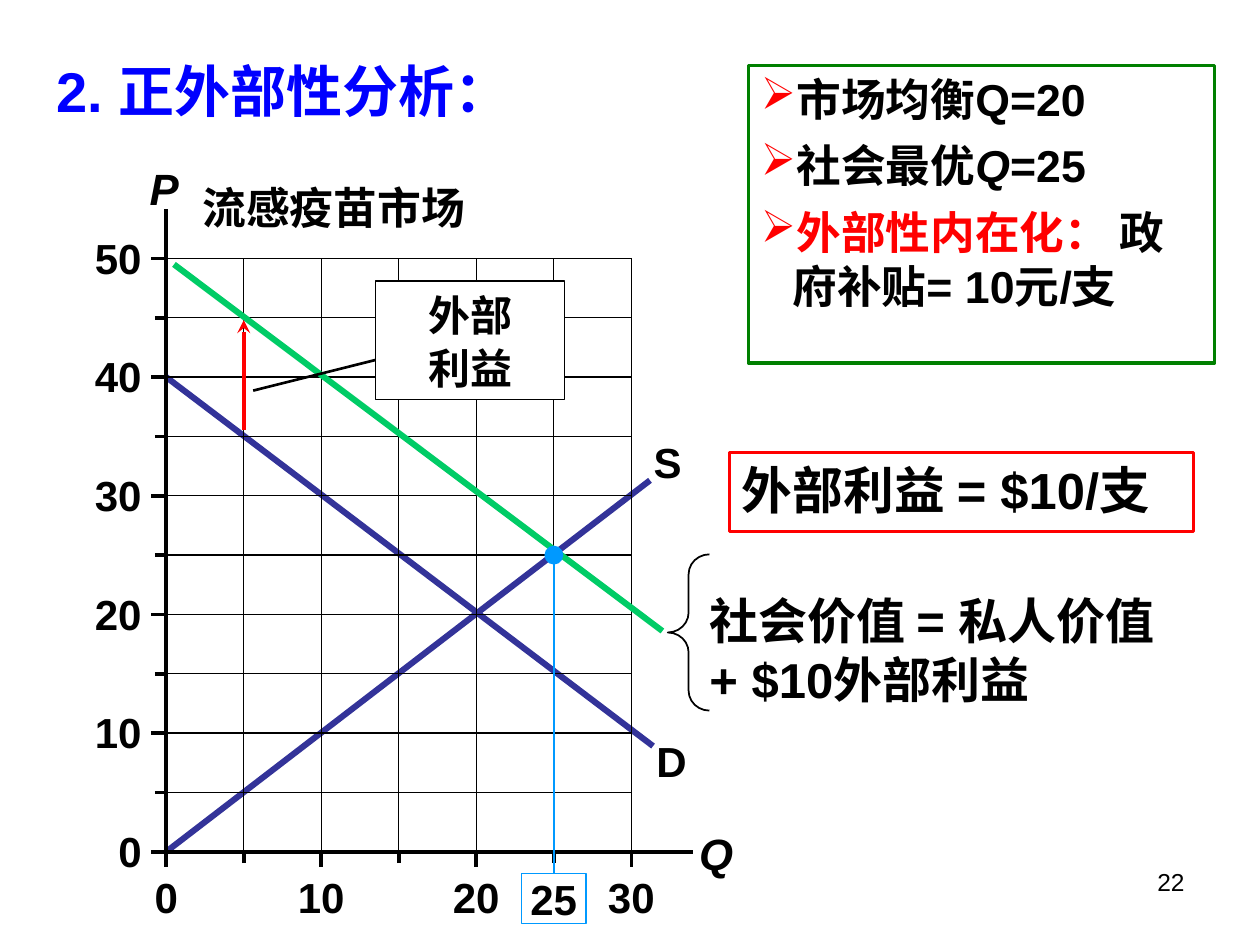
"""Build the positive externality slide with its supply and demand diagram."""
from lxml import etree
from pptx import Presentation
from pptx import util as u
from pptx.dml.color import RGBColor
from pptx.enum import shapes, text
from pptx.oxml.ns import qn

COLORS = {
    "black": "000000", "white": "FFFFFF", "blue": "0000FF", "red": "FF0000",
    "green": "008000", "navy": "333399", "emerald": "00CC66", "sky": "0099FF",
}
ALIGN = text.PP_ALIGN
SHAPE = shapes.MSO_SHAPE


def rgb(name):
    return RGBColor.from_string(COLORS[name])


def qx(q):
    return 95 + 8.86 * q


def py(p):
    return 486.7 - 6.78 * p


def add_bullet(p, color):
    pPr = p._p.get_or_add_pPr()
    pPr.set("marL", str(u.Pt(18)))
    pPr.set("indent", str(-u.Pt(18)))
    buClr = etree.SubElement(pPr, qn("a:buClr"))
    etree.SubElement(buClr, qn("a:srgbClr"), val=COLORS[color])
    etree.SubElement(pPr, qn("a:buChar"), char="➢")


def write(tf, paragraphs, size=24, color="black", bold=True, italic=False, align=ALIGN.LEFT,
          before=0, spacing=None, bullet=None, inset=(7.2, 3.6), wrap=True,
          anchor=text.MSO_ANCHOR.TOP):
    """Fill a frame; each paragraph is a string or a list of (text, overrides) runs."""
    tf.word_wrap = wrap
    tf.vertical_anchor = anchor
    tf.margin_left = tf.margin_right = u.Pt(inset[0])
    tf.margin_top = tf.margin_bottom = u.Pt(inset[1])
    if isinstance(paragraphs, str):
        paragraphs = [paragraphs]
    for i, runs in enumerate(paragraphs):
        p = tf.add_paragraph() if i else tf.paragraphs[0]
        if bullet:
            add_bullet(p, bullet)
        p.alignment = align
        if i and before:
            p.space_before = u.Pt(before)
        if spacing:
            p.line_spacing = spacing
        for content, style in [(runs, {})] if isinstance(runs, str) else runs:
            if content == "\n":
                p.add_line_break()
                continue
            r = p.add_run()
            r.text = content
            r.font.name = "Arial"
            r.font.size = u.Pt(size)
            r.font.bold = bold
            r.font.italic = style.get("italic", italic)
            r.font.color.rgb = rgb(style.get("color", color))


class Canvas:
    """Draw styled elements on the current slide, in points."""

    def __init__(self, prs):
        self.s = prs.slides.add_slide(prs.slide_layouts[6])

    def label(self, x, y, w, h, content, **fmt):
        sp = self.s.shapes.add_textbox(u.Pt(x), u.Pt(y), u.Pt(w), u.Pt(h))
        write(sp.text_frame, content, **fmt)
        return sp

    def shape(self, kind, x, y, w, h, fill=None, line=None, width=0.75):
        sp = self.s.shapes.add_shape(kind, u.Pt(x), u.Pt(y), u.Pt(w), u.Pt(h))
        sp.shadow.inherit = False
        if fill:
            sp.fill.solid()
            sp.fill.fore_color.rgb = rgb(fill)
        else:
            sp.fill.background()
        if line:
            sp.line.color.rgb = rgb(line)
            sp.line.width = u.Pt(width)
        else:
            sp.line.fill.background()
        return sp

    def panel(self, x, y, w, h, content, line, width, **fmt):
        sp = self.shape(SHAPE.RECTANGLE, x, y, w, h, "white", line, width)
        write(sp.text_frame, content, **fmt)
        return sp

    def line(self, x1, y1, x2, y2, color="black", width=0.75, arrow=False):
        c = self.s.shapes.add_connector(
            shapes.MSO_CONNECTOR.STRAIGHT, u.Pt(x1), u.Pt(y1), u.Pt(x2), u.Pt(y2))
        c.line.color.rgb = rgb(color)
        c.line.width = u.Pt(width)
        if arrow:
            etree.SubElement(c.line._get_or_add_ln(), qn("a:tailEnd"), type="stealth")
        etree.SubElement(c._element.spPr, qn("a:effectLst"))
        return c

    def curve(self, start, end, color):
        self.line(qx(start[0]), py(start[1]), qx(end[0]), py(end[1]), color, 3.5)

    def grid(self):
        for p in range(5, 51, 5):
            self.line(qx(0), py(p), qx(30), py(p))
        for q in range(5, 31, 5):
            self.line(qx(q), py(50), qx(q), py(0))

    def axes(self):
        self.line(qx(0), 119.5, qx(0), py(0), width=2.13)
        self.line(qx(0), py(0), 396, py(0), width=2.13)
        for p in range(0, 51, 5):
            self.line(qx(0) - (6.5 if p % 5 else 6.5 + 2.1 * (p % 10 == 0)), py(p),
                      qx(0), py(p), width=2.13)
        for q in range(0, 31, 5):
            if q:
                self.line(qx(q), py(0) + 6.5 + 2.1 * (q % 10 == 0), qx(q), py(0), width=2.13)
            else:
                self.line(qx(0), py(0) + 8.6, qx(0), py(0), width=2.13)
        for p in range(0, 51, 10):
            w = 13.4 * len(str(p))
            self.label(81 - w, py(p) - 15, w, 28.8, str(p), inset=(0, 0), wrap=False)
        for q in range(0, 31, 10):
            w = 13.4 * len(str(q))
            self.label(qx(q) - w / 2, 498, w, 28.8, str(q), inset=(0, 0), wrap=False)
        self.label(78.5, 88.6, 31, 37.4, "P", size=25, italic=True, wrap=False)
        self.label(392.4, 468.7, 34, 37.4, "Q", size=25, italic=True, wrap=False)


def main():
    prs = Presentation()
    prs.slide_width, prs.slide_height = u.Pt(720), u.Pt(540)
    c = Canvas(prs)

    c.label(516, 491.8, 168, 37.4, "22", size=14, bold=False, align=ALIGN.RIGHT)
    c.label(25.2, 26, 342, 51, "2. 正外部性分析：", size=32, color="blue",
            anchor=text.MSO_ANCHOR.MIDDLE)
    c.panel(427.7, 37.4, 266.4, 170, [
        "市场均衡Q=20",
        [("社会最优", {}), ("Q", {"italic": True}), ("=25", {})],
        [("外部性内在化：", {"color": "red"}), (" 政府补贴= 10元/支", {})],
    ], "green", 2, size=25.5, before=7.5, bullet="red")

    c.label(108.7, 100, 164, 37.4, "流感疫苗市场", size=25, wrap=False)
    c.curve((0, 40), (31.4, 8.9), "navy")
    c.curve((0, 0), (31.2, 31.3), "navy")
    c.label(368, 416.9, 32.4, 36, "D")
    c.label(366.5, 246.2, 31, 36, "S")
    c.grid()
    c.axes()
    c.curve((0.5, 49.5), (32, 18.6), "emerald")

    brace = c.shape(SHAPE.LEFT_BRACE, 381.6, 316.8, 23.8, 89.3, line="black", width=1)
    brace.adjustments[0] = 0.48
    c.label(405.4, 337.7, 262.8, 100.8,
            [[("社会价值 = 私人价值", {}), ("\n", {}), ("+ $10外部利益", {})]],
            size=28, inset=(0, 0))

    c.line(qx(5), py(35.5), qx(5), py(44.8), "red", 2.5, arrow=True)
    c.line(144.7, 223.2, 225.4, 203, width=1.5)
    c.panel(214.6, 160.6, 108, 67.7, ["外部", "利益"], "black", 0.75,
            align=ALIGN.CENTER, spacing=1.05)

    box = c.shape(SHAPE.RECTANGLE, qx(25) - 18.4, 499, 36.8, 28.8, line="sky")
    drop = c.line(qx(25), 499, qx(25), py(25), "sky", 1.5)
    drop.begin_connect(box, 0)
    c.shape(SHAPE.OVAL, qx(25) - 5.4, py(25) - 5.4, 10.8, 10.8, fill="sky")
    c.label(qx(25) - 20.5, 495.4, 41, 36, "25", wrap=False)

    c.panel(416.9, 258.5, 265, 45.4, "外部利益 = $10/支", "red", 2, size=29)
    prs.save("out.pptx")


if __name__ == "__main__":
    main()
